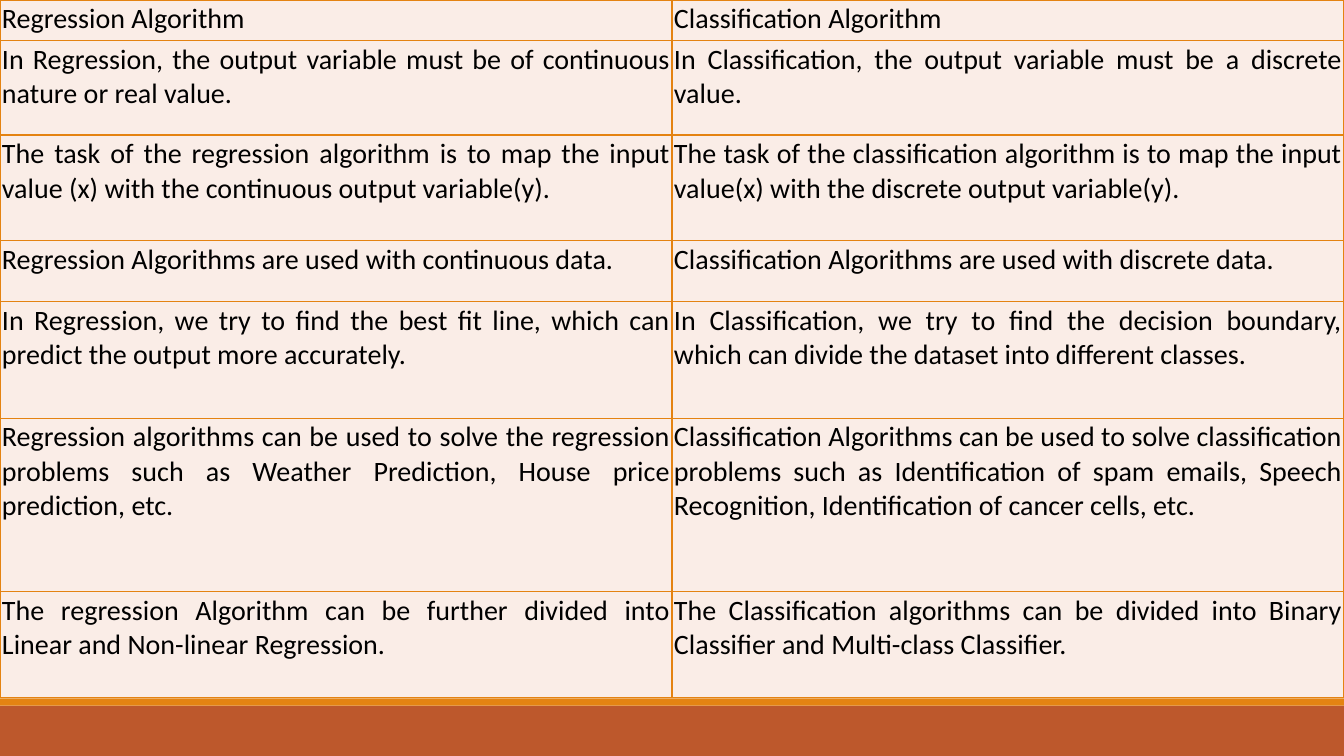
from lxml.etree import SubElement
from pptx import Presentation
from pptx.dml.color import RGBColor
from pptx.enum.shapes import MSO_SHAPE
from pptx.enum.text import PP_ALIGN
from pptx.oxml.ns import qn
from pptx.util import Inches, Pt

ORANGE, RUST, CREAM, BLACK = "E48312", "BD582C", "FAEDE7", "000000"
WIDTH, HEIGHT = 13.33, 7.5
ROW_HEIGHTS = [0.4, 0.94, 1.05, 0.6, 1.16, 1.72, 1.05]
COMPARISON = [
    ("Regression Algorithm", "Classification Algorithm"),
    ("In Regression, the output variable must be of continuous nature or real value.",
     "In Classification, the output variable must be a discrete value."),
    ("The task of the regression algorithm is to map the input value (x) with the "
     "continuous output variable(y).",
     "The task of the classification algorithm is to map the input value(x) with the "
     "discrete output variable(y)."),
    ("Regression Algorithms are used with continuous data.",
     "Classification Algorithms are used with discrete data."),
    ("In Regression, we try to find the best fit line, which can predict the output "
     "more accurately.",
     "In Classification, we try to find the decision boundary, which can divide the "
     "dataset into different classes."),
    ("Regression algorithms can be used to solve the regression problems such as "
     "Weather Prediction, House price prediction, etc.",
     "Classification Algorithms can be used to solve classification problems such as "
     "Identification of spam emails, Speech Recognition, Identification of cancer "
     "cells, etc."),
    ("The regression Algorithm can be further divided into Linear and Non-linear "
     "Regression.",
     "The Classification algorithms can be divided into Binary Classifier and "
     "Multi-class Classifier."),
]


def color(value):
    return RGBColor.from_string(value)


def add_band(page, left, top, width, height, fill):
    band = page.shapes.add_shape(MSO_SHAPE.RECTANGLE, Inches(left), Inches(top),
                                 Inches(width), Inches(height))
    band.shadow.inherit = False
    band.fill.solid()
    band.fill.fore_color.rgb = color(fill)
    band.line.fill.background()


def add_footer(page, left, top, width, height):
    """Thin orange strip above a rust band, filling the given box."""
    strip = 0.07
    add_band(page, left, top + strip, width, height - strip, RUST)
    add_band(page, left, top, width, strip, ORANGE)


def add_borders(cell):
    properties = cell._tc.get_or_add_tcPr()
    for position, side in enumerate(("a:lnL", "a:lnR", "a:lnT", "a:lnB")):
        line = properties.makeelement(qn(side), {"w": str(Pt(1))})
        properties.insert(position, line)
        fill = SubElement(line, qn("a:solidFill"))
        SubElement(fill, qn("a:srgbClr"), val=ORANGE)


def fill_cell(cell, text, align):
    cell.margin_left = cell.margin_right = Inches(0.02)
    cell.margin_top = cell.margin_bottom = Inches(0.02)
    cell.fill.solid()
    cell.fill.fore_color.rgb = color(CREAM)
    add_borders(cell)
    cell.text = text
    para = cell.text_frame.paragraphs[0]
    para.alignment = align
    para.font.name = "Calibri"
    para.font.size = Pt(20)
    para.font.bold = False
    para.font.color.rgb = color(BLACK)


def add_comparison(page, left, top, width, height):
    columns = len(COMPARISON[0])
    table = page.shapes.add_table(len(COMPARISON), columns, Inches(left), Inches(top),
                                  Inches(width), Inches(height)).table
    table.horz_banding = False
    for column in table.columns:
        column.width = Inches(width / columns)
    for index, (row, texts) in enumerate(zip(table.rows, COMPARISON)):
        row.height = Inches(ROW_HEIGHTS[index])
        align = PP_ALIGN.JUSTIFY if index else PP_ALIGN.LEFT
        for cell, text in zip(row.cells, texts):
            fill_cell(cell, text, align)


def main():
    deck = Presentation()
    deck.slide_width, deck.slide_height = Inches(WIDTH), Inches(HEIGHT)
    page = deck.slides.add_slide(deck.slide_layouts[6])
    footer_top = 6.93
    add_footer(page, 0, footer_top, WIDTH, HEIGHT - footer_top)
    add_comparison(page, 0, 0, WIDTH, sum(ROW_HEIGHTS))
    deck.save("out.pptx")


if __name__ == "__main__":
    main()
